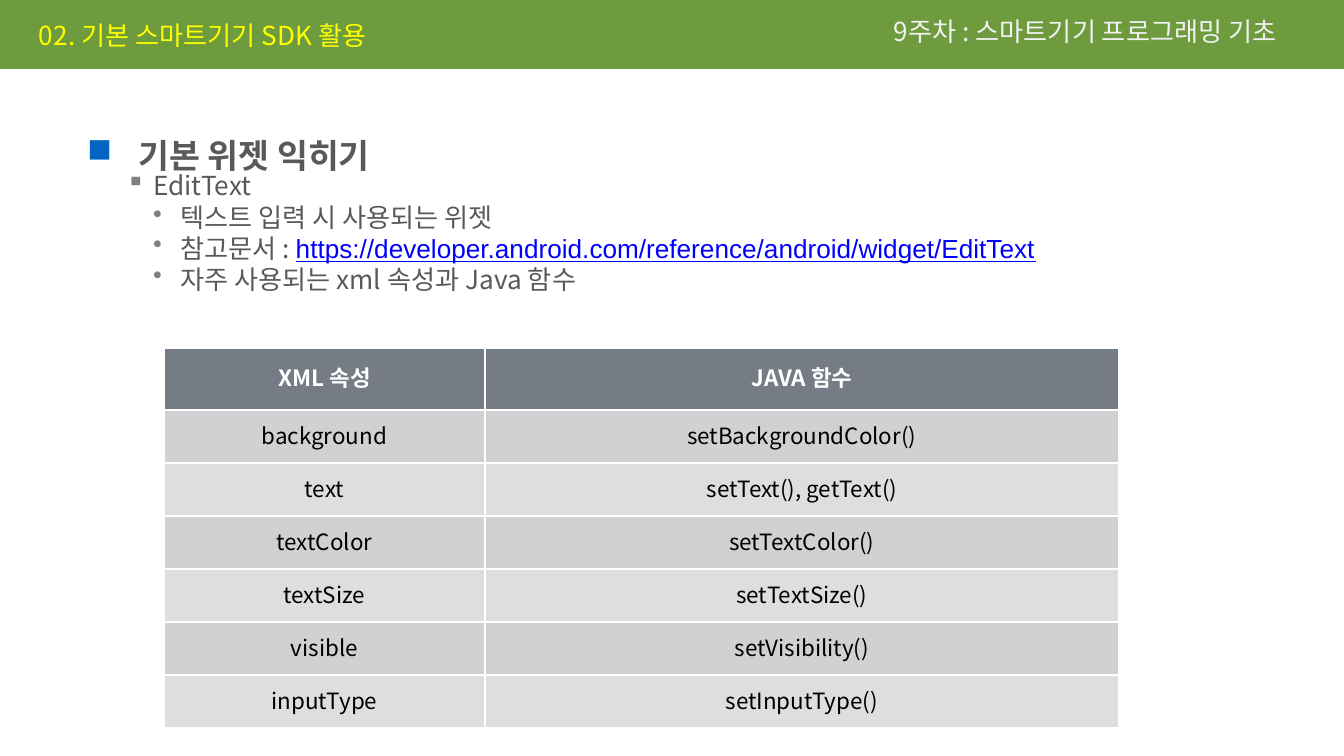
"""Build the EditText slide of a course on basic mobile widgets."""
from dataclasses import dataclass

from lxml import etree
from pptx import Presentation
from pptx.dml.color import RGBColor
from pptx.enum.shapes import MSO_SHAPE
from pptx.enum.text import MSO_ANCHOR, PP_ALIGN
from pptx.oxml.ns import qn
from pptx.util import Emu, Pt

RECTANGLE = MSO_SHAPE.RECTANGLE
TOP, MIDDLE = MSO_ANCHOR.TOP, MSO_ANCHOR.MIDDLE
CENTER = PP_ALIGN.CENTER
EMU_PER_PX = 914400 / 134.4
KOREAN_FONT, LINK_FONT = "Noto Sans CJK KR", "Arial"
GREEN, YELLOW, PALE, WHITE, BLACK = "6D9B3E", "FFFF00", "F2F2F2", "FFFFFF", "000000"
BODY_GRAY, BULLET_GRAY, BULLET_BLUE, LINK_BLUE = "595959", "808080", "0365C0", "0000FF"
HEADER_FILL, ROW_FILLS = "767C85", ("D0D1D2", "DEDEDF")


@dataclass(frozen=True)
class Box:
    """Position and size in px."""
    left: int
    top: int
    width: int
    height: int

    def emu(self) -> tuple[Emu, ...]:
        """Return the four lengths in EMU."""
        return tuple(map(px, (self.left, self.top, self.width, self.height)))


@dataclass(frozen=True)
class Heading:
    """A line of text in the top band."""
    text: str
    box: Box
    color: str
    anchor: MSO_ANCHOR


@dataclass(frozen=True)
class Level:
    """Look of one outline level, with indents in px."""
    bullet: str
    bullet_color: str
    margin: int
    hanging: int
    size: int
    bold: bool
    line_spacing: float
    space_after: int


@dataclass(frozen=True)
class Item:
    """An outline entry with an optional web address."""
    level: int
    text: str
    address: str = ""


HEADINGS = (
    Heading("02. 기본 스마트기기 SDK 활용", Box(31, 17, 417, 42), YELLOW, TOP),
    Heading("9주차 : 스마트기기 프로그래밍 기초", Box(886, 13, 450, 42), PALE, MIDDLE),
)
LEVELS = (
    Level("■", BULLET_BLUE, 51, 51, 18, True, 1.5, 0),
    Level("▪", BULLET_GRAY, 66, 27, 14, False, 0.8, 4),
    Level("•", BULLET_GRAY, 93, 27, 14, False, 0.8, 3),
)
OUTLINE = (
    Item(0, "기본 위젯 익히기"),
    Item(1, "EditText"),
    Item(2, "텍스트 입력 시 사용되는 위젯"),
    Item(2, "참고문서 : ", "https://developer.android.com/reference/android/widget/EditText"),
    Item(2, "자주 사용되는 xml 속성과 Java 함수"),
)
ATTRIBUTES = (
    ("XML 속성", "JAVA 함수"),
    ("background", "setBackgroundColor()"),
    ("text", "setText(), getText()"),
    ("textColor", "setTextColor()"),
    ("textSize", "setTextSize()"),
    ("visible", "setVisibility()"),
    ("inputType", "setInputType()"),
)
COLUMN_WIDTHS, HEADER_HEIGHT, ROW_HEIGHT = (321, 634), 62, 53


def px(length: int) -> Emu:
    """Turn px into EMU."""
    return Emu(round(length * EMU_PER_PX))


def rgb(color: str) -> RGBColor:
    """Turn a hex string into a colour."""
    return RGBColor.from_string(color)


def set_font(paragraph, size: int, color: str, bold: bool = False) -> None:
    """Set the font of a whole paragraph for Latin and Korean script."""
    font = paragraph.font
    font.size, font.bold, font.name = Pt(size), bold, KOREAN_FONT
    font.color.rgb = rgb(color)
    defaults = paragraph._p.pPr.find(qn("a:defRPr"))
    etree.SubElement(defaults, qn("a:ea"), typeface=KOREAN_FONT)


def set_bullet(paragraph, level: Level) -> None:
    """Give a paragraph its bullet and hanging indent."""
    properties = paragraph._p.get_or_add_pPr()
    properties.set("marL", str(px(level.margin)))
    properties.set("indent", str(-px(level.hanging)))
    bullet_color = etree.SubElement(properties, qn("a:buClr"))
    etree.SubElement(bullet_color, qn("a:srgbClr"), val=level.bullet_color)
    etree.SubElement(properties, qn("a:buChar"), char=level.bullet)


def draw_band(slide) -> None:
    """Draw the green band across the top."""
    band = slide.shapes.add_shape(RECTANGLE, *Box(0, 0, 1344, 69).emu())
    band.shadow.inherit = False
    band.fill.solid()
    band.fill.fore_color.rgb = rgb(GREEN)
    band.line.fill.background()


def draw_heading(slide, heading: Heading) -> None:
    """Write one heading on the band."""
    frame = slide.shapes.add_textbox(*heading.box.emu()).text_frame
    frame.word_wrap, frame.vertical_anchor = True, heading.anchor
    frame.margin_left = frame.margin_right = px(8)
    frame.margin_top = frame.margin_bottom = px(8)
    paragraph = frame.paragraphs[0]
    paragraph.text, paragraph.line_spacing = heading.text, 0.8
    set_font(paragraph, 14, heading.color)


def draw_outline(slide, items: tuple[Item, ...]) -> None:
    """Write the bulleted outline."""
    frame = slide.shapes.add_textbox(*Box(74, 108, 1191, 602).emu()).text_frame
    frame.word_wrap = True
    for index, item in enumerate(items):
        paragraph = frame.add_paragraph() if index else frame.paragraphs[0]
        level = LEVELS[item.level]
        paragraph.level, paragraph.line_spacing = item.level, level.line_spacing
        paragraph.space_after = Pt(level.space_after)
        set_bullet(paragraph, level)
        set_font(paragraph, level.size, BODY_GRAY, level.bold)
        paragraph.add_run().text = item.text
        if item.address:
            address = paragraph.add_run()
            address.text = item.address
            address.font.name, address.font.underline = LINK_FONT, True
            address.font.color.rgb = rgb(LINK_BLUE)


def set_borders(cell, color: str) -> None:
    """Draw a thin line on all four sides of a cell."""
    properties = cell._tc.get_or_add_tcPr()
    for position, side in enumerate(("lnL", "lnR", "lnT", "lnB")):
        line = etree.Element(qn(f"a:{side}"), w=str(Pt(1)))
        fill = etree.SubElement(line, qn("a:solidFill"))
        etree.SubElement(fill, qn("a:srgbClr"), val=color)
        properties.insert(position, line)


def draw_cell(cell, text: str, fill: str, color: str, bold: bool) -> None:
    """Fill one table cell with centred text."""
    cell.fill.solid()
    cell.fill.fore_color.rgb = rgb(fill)
    cell.vertical_anchor = MIDDLE
    set_borders(cell, WHITE)
    paragraph = cell.text_frame.paragraphs[0]
    paragraph.text, paragraph.alignment, paragraph.line_spacing = text, CENTER, 0.8
    set_font(paragraph, 12, color, bold)


def draw_attributes(slide, rows: tuple[tuple[str, str], ...]) -> None:
    """Draw the table of attributes and their functions."""
    height = HEADER_HEIGHT + ROW_HEIGHT * (len(rows) - 1)
    area = Box(164, 348, sum(COLUMN_WIDTHS), height)
    table = slide.shapes.add_table(len(rows), len(COLUMN_WIDTHS), *area.emu()).table
    for column, width in zip(table.columns, COLUMN_WIDTHS):
        column.width = px(width)
    for index, texts in enumerate(rows):
        header = index == 0
        table.rows[index].height = px(HEADER_HEIGHT if header else ROW_HEIGHT)
        fill = HEADER_FILL if header else ROW_FILLS[(index - 1) % 2]
        for cell, text in zip(table.rows[index].cells, texts):
            draw_cell(cell, text, fill, WHITE if header else BLACK, header)


def main() -> None:
    """Build and save the slide."""
    deck = Presentation()
    deck.slide_width, deck.slide_height = px(1344), px(756)
    slide = deck.slides.add_slide(deck.slide_layouts[6])
    draw_band(slide)
    for heading in HEADINGS:
        draw_heading(slide, heading)
    draw_outline(slide, OUTLINE)
    draw_attributes(slide, ATTRIBUTES)
    deck.save("out.pptx")


if __name__ == "__main__":
    main()
